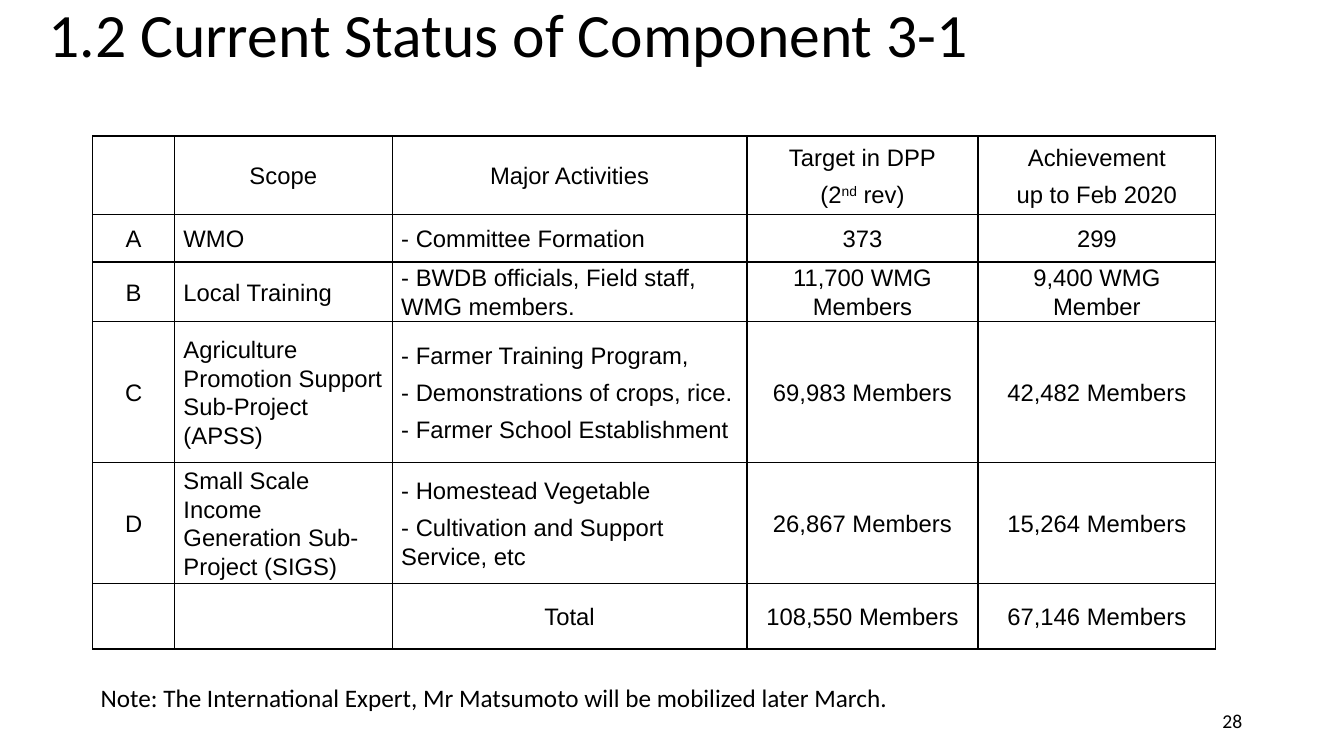
from dataclasses import dataclass

from lxml import etree
from pptx import Presentation
from pptx import util as u
from pptx.dml.color import RGBColor
from pptx.enum import text
from pptx.oxml import ns


@dataclass(frozen=True)
class Theme:
    ink: str = "000000"
    paper: str = "FFFFFF"
    heading_font: str = "Calibri"
    table_font: str = "Arial"
    title_size: int = 44
    note_size: int = 18
    table_size: int = 17
    number_size: int = 14
    border: float = 1


THEME = Theme()
LEFT, CENTER, RIGHT = text.PP_ALIGN.LEFT, text.PP_ALIGN.CENTER, text.PP_ALIGN.RIGHT
MIDDLE = text.MSO_ANCHOR.MIDDLE

COLUMN_WIDTHS = [0.81, 2.16, 3.52, 2.29, 2.36]
ROW_HEIGHTS = [0.78, 0.47, 0.59, 1.4, 1.2, 0.65]
# Each line break starts a new paragraph; ^ encloses superscript
STATUS_ROWS = [
    ["", "Scope", "Major Activities", "Target in DPP\n(2^nd^ rev)", "Achievement\nup to Feb 2020"],
    ["A", "WMO", "- Committee Formation", "373", "299"],
    ["B", "Local Training", "- BWDB officials, Field staff, WMG members.",
     "11,700 WMG Members", "9,400 WMG Member"],
    ["C", "Agriculture Promotion Support Sub-Project (APSS)",
     "- Farmer Training Program,\n- Demonstrations of crops, rice.\n- Farmer School Establishment",
     "69,983 Members", "42,482 Members"],
    ["D", "Small Scale Income Generation Sub-Project (SIGS)",
     "- Homestead Vegetable\n- Cultivation and Support Service, etc",
     "26,867 Members", "15,264 Members"],
    ["", "", "Total", "108,550 Members", "67,146 Members"],
]


def style_font(font, name, size):
    font.name = name
    font.size = u.Pt(size)
    font.color.rgb = RGBColor.from_string(THEME.ink)


def place(shape, box):
    shape.left, shape.top, shape.width, shape.height = map(u.Inches, box)


def add_title(page, box, wording):
    title = page.shapes.title
    place(title, box)
    frame = title.text_frame
    frame.text = wording
    frame.vertical_anchor = MIDDLE
    frame.auto_size = text.MSO_AUTO_SIZE.NONE
    para = frame.paragraphs[0]
    para.alignment = LEFT
    para.line_spacing = 0.9
    style_font(para.runs[0].font, THEME.heading_font, THEME.title_size)


def add_label(page, box, wording, size, align=LEFT, anchor=text.MSO_ANCHOR.TOP):
    frame = page.shapes.add_textbox(*map(u.Inches, box)).text_frame
    frame.word_wrap = True
    frame.vertical_anchor = anchor
    frame.text = wording
    para = frame.paragraphs[0]
    para.alignment = align
    style_font(para.runs[0].font, THEME.heading_font, size)


def draw_borders(cell):
    props = cell._tc.get_or_add_tcPr()
    for index, side in enumerate(("lnL", "lnR", "lnT", "lnB")):
        line = etree.Element(ns.qn(f"a:{side}"), w=str(u.Pt(THEME.border)))
        fill = etree.SubElement(line, ns.qn("a:solidFill"))
        etree.SubElement(fill, ns.qn("a:srgbClr"), val=THEME.ink)
        props.insert(index, line)


def fill_cell(cell, wording, align):
    cell.fill.solid()
    cell.fill.fore_color.rgb = RGBColor.from_string(THEME.paper)
    draw_borders(cell)
    cell.vertical_anchor = MIDDLE
    cell.margin_left = cell.margin_right = u.Inches(0.09)
    cell.margin_top = cell.margin_bottom = 0
    for index, line in enumerate(wording.split("\n")):
        para = cell.text_frame.paragraphs[0] if index == 0 else cell.text_frame.add_paragraph()
        para.alignment = align
        para.line_spacing = 1.07
        para.space_before = u.Pt(6 if index else 0)
        style_font(para.font, THEME.table_font, THEME.table_size)
        for part, piece in enumerate(line.split("^")):
            if not piece:
                continue
            span = para.add_run()
            span.text = piece
            style_font(span.font, THEME.table_font, THEME.table_size)
            if part % 2:
                span._r.get_or_add_rPr().set("baseline", "30000")


def add_status_table(page, box):
    frame = page.shapes.add_table(len(ROW_HEIGHTS), len(COLUMN_WIDTHS), *map(u.Inches, box))
    table = frame.table
    table.first_row = table.horz_banding = False
    for column, width in zip(table.columns, COLUMN_WIDTHS):
        column.width = u.Inches(width)
    for row, height in zip(table.rows, ROW_HEIGHTS):
        row.height = u.Inches(height)
    last = len(STATUS_ROWS) - 1
    for r, entries in enumerate(STATUS_ROWS):
        for c, wording in enumerate(entries):
            # Scope and activities read left, except in the header and total rows
            align = LEFT if c in (1, 2) and 0 < r < last else CENTER
            fill_cell(table.cell(r, c), wording, align)


def build_status_page(deck):
    page = deck.slides.add_slide(deck.slide_layouts[5])
    # Heading
    add_title(page, (0.38, 0, 11.5, 0.74), "1.2 Current Status of Component 3-1")
    # Progress by component
    add_status_table(page, (0.92, 1.35, sum(COLUMN_WIDTHS), sum(ROW_HEIGHTS)))
    # Note and page number
    add_label(page, (0.9, 6.72, 8.1, 0.4),
              "Note: The International Expert, Mr Matsumoto will be mobilized later March.",
              THEME.note_size)
    add_label(page, (9.42, 6.95, 3, 0.4), "28", THEME.number_size, RIGHT, MIDDLE)


def main():
    deck = Presentation()
    deck.slide_width, deck.slide_height = u.Inches(13.33), u.Inches(7.5)
    build_status_page(deck)
    deck.save("out.pptx")


if __name__ == "__main__":
    main()
